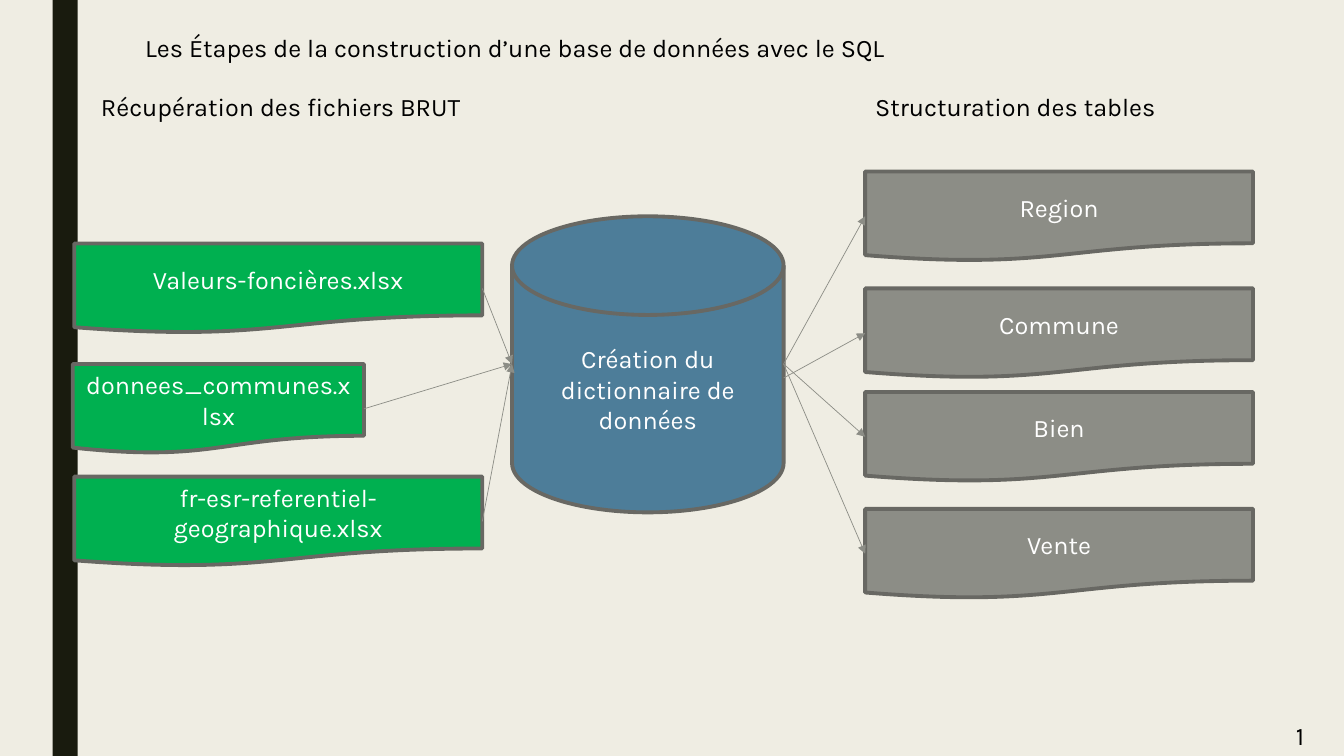
import pptx
import pptx.dml.color
import pptx.enum.shapes
import pptx.enum.text
import pptx.oxml
import pptx.oxml.ns
import pptx.util

Pt = pptx.util.Pt
SHAPE = pptx.enum.shapes.MSO_SHAPE
ALIGN = pptx.enum.text.PP_ALIGN
ANCHOR = pptx.enum.text.MSO_ANCHOR

COLORS = {
    "background": "EFEDE3",
    "bar": "191B0E",
    "file": "00B050",
    "database": "4D7D99",
    "table": "8C8D86",
    "outline": "686863",
    "arrow": "8C8D86",
    "dark": "000000",
    "light": "FFFFFF",
}
LEFT_SITE, RIGHT_SITE = 1, 3


def rgb(name):
    return pptx.dml.color.RGBColor.from_string(COLORS[name])


class Diagram:
    """Holds the text style and the slide being drawn."""

    def __init__(self, slide, font="Karla", size=18):
        self.slide = slide
        self.font = font
        self.size = size
        slide.background.fill.solid()
        slide.background.fill.fore_color.rgb = rgb("background")

    def set_text(self, sp, text, color, align, anchor):
        tf = sp.text_frame
        tf.word_wrap = True
        tf.auto_size = pptx.enum.text.MSO_AUTO_SIZE.NONE
        tf.vertical_anchor = anchor
        p = tf.paragraphs[0]
        p.text = text
        p.alignment = align
        p.font.name = self.font
        p.font.size = Pt(self.size)
        p.font.color.rgb = rgb(color)

    def title(self, text, x, y, w, h):
        sp = self.slide.shapes.title
        sp.left, sp.top, sp.width, sp.height = Pt(x), Pt(y), Pt(w), Pt(h)
        self.set_text(sp, text, "dark", ALIGN.LEFT, ANCHOR.TOP)

    def label(self, text, x, y, w, h=29):
        sp = self.slide.shapes.add_textbox(Pt(x), Pt(y), Pt(w), Pt(h))
        self.set_text(sp, text, "dark", ALIGN.LEFT, ANCHOR.TOP)

    def block(self, kind, fill, x, y, w, h, text="", line="outline"):
        sp = self.slide.shapes.add_shape(kind, Pt(x), Pt(y), Pt(w), Pt(h))
        sp.shadow.inherit = False
        sp.fill.solid()
        sp.fill.fore_color.rgb = rgb(fill)
        if line:
            sp.line.color.rgb = rgb(line)
            sp.line.width = Pt(2.75)
        else:
            sp.line.fill.background()
        if text:
            self.set_text(sp, text, "light", ALIGN.CENTER, ANCHOR.MIDDLE)
        return sp

    def document(self, text, fill, x, y, w):
        return self.block(SHAPE.FLOWCHART_DOCUMENT, fill, x, y, w, 64, text)

    def arrow(self, x1, y1, x2, y2):
        cxn = self.slide.shapes.add_connector(
            pptx.enum.shapes.MSO_CONNECTOR.STRAIGHT, Pt(x1), Pt(y1), Pt(x2), Pt(y2))
        cxn.line.color.rgb = rgb("arrow")
        cxn.line.width = Pt(0.5)
        ns = pptx.oxml.ns.nsdecls("a")
        sp_pr = cxn._element.spPr
        sp_pr.find(pptx.oxml.ns.qn("a:ln")).append(
            pptx.oxml.parse_xml(f'<a:tailEnd {ns} type="triangle"/>'))
        sp_pr.append(pptx.oxml.parse_xml(f"<a:effectLst {ns}/>"))
        return cxn


def main():
    prs = pptx.Presentation()
    prs.slide_width, prs.slide_height = Pt(960), Pt(540)
    d = Diagram(prs.slides.add_slide(prs.slide_layouts[5]))

    d.block(SHAPE.RECTANGLE, "bar", 37.5, 0, 18, 540, line=None)
    d.title("Les Étapes de la construction d’une base de données avec le SQL",
            96.5, 19.5, 788, 29)
    d.label("Récupération des fichiers BRUT", 65, 61.5, 301)
    d.label("Structuration des tables", 618, 61.5, 301)
    d.label("1", 918.5, 511, 41.5)

    db_left, db_right, db_middle = 365.75, 559.75, 260
    d.block(SHAPE.FLOWCHART_MAGNETIC_DISK, "database",
            db_left, 154.5, db_right - db_left, 211.5,
            "Création du dictionnaire de données")

    files = [
        ("Valeurs-foncières.xlsx", 53, 174, 291.5),
        ("donnees_communes.xlsx", 52, 260, 208),
        ("fr-esr-referentiel-geographique.xlsx", 53, 340.5, 291.5),
    ]
    for name, x, y, w in files:
        sp = d.document(name, "file", x, y, w)
        cxn = d.arrow(x + w, y + 32, db_left, db_middle)
        cxn.begin_connect(sp, RIGHT_SITE)

    tables = [
        ("Region", 122.5, db_middle),
        ("Commune", 206, db_middle + 10),
        ("Bien", 280, db_middle),
        ("Vente", 363.5, db_middle),
    ]
    for name, y, start_y in tables:
        sp = d.document(name, "table", 618, y, 277)
        cxn = d.arrow(db_right, start_y, 618, y + 32)
        cxn.end_connect(sp, LEFT_SITE)

    prs.save("out.pptx")


if __name__ == "__main__":
    main()
